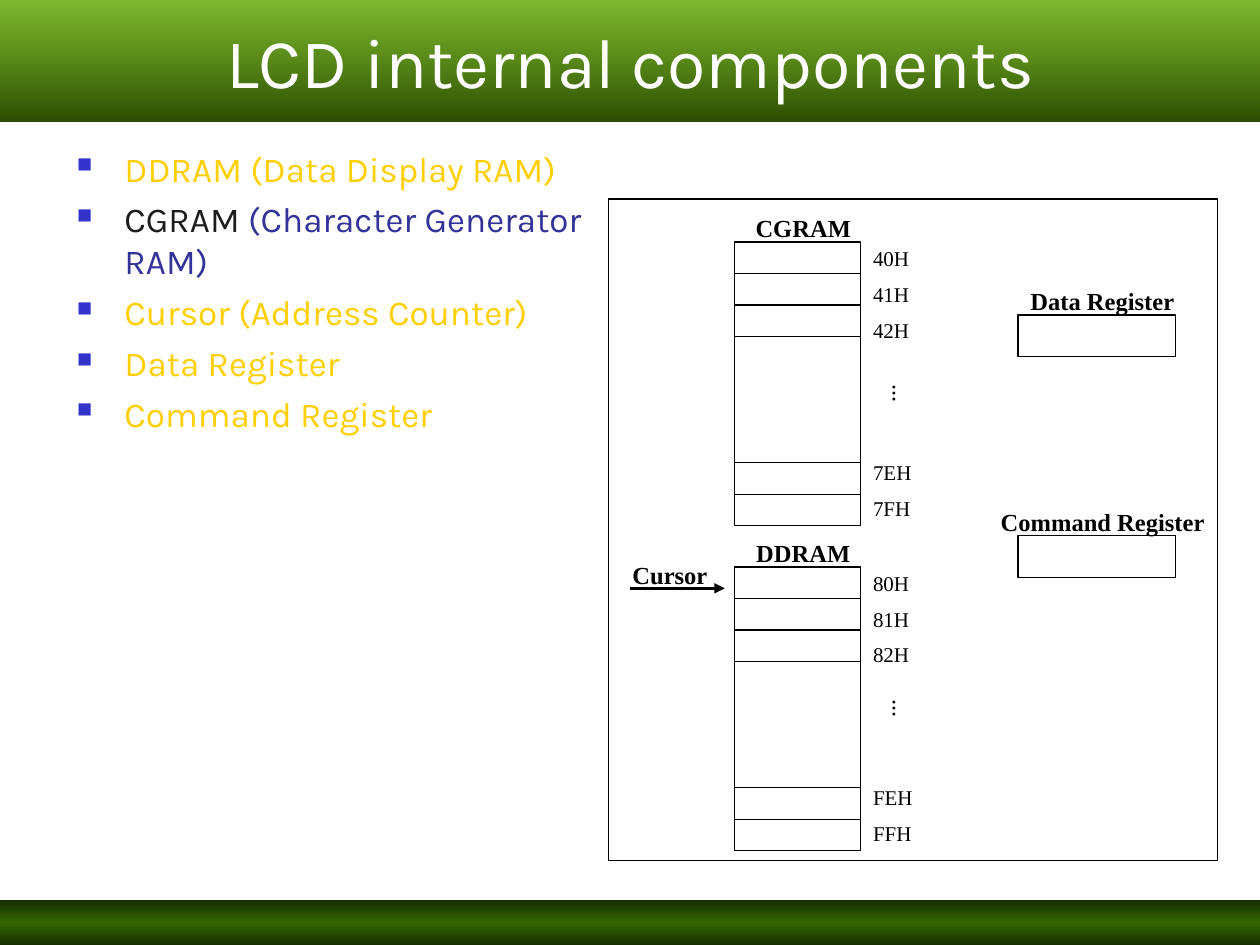
from lxml.etree import SubElement
from pptx import Presentation
from pptx.dml.color import RGBColor
from pptx.enum.shapes import MSO_CONNECTOR, MSO_SHAPE
from pptx.enum.text import MSO_ANCHOR, PP_ALIGN
from pptx.oxml import parse_xml
from pptx.oxml.ns import nsdecls, qn
from pptx.util import Cm, Pt

COLORS = {
    "black": "000000", "white": "FFFFFF", "yellow": "FFCF01", "ink": "1C1C1C",
    "indigo": "333399", "bullet": "3333CC", "lime": "62A903", "moss": "2D4E01",
    "forest": "182F00", "green": "336600",
}
HEADING_FONT, DIAGRAM_FONT = "Karla", "Times New Roman"

TITLE = "LCD internal components"
# Each bullet is a list of (text, colour) runs.
BULLETS = [
    [("DDRAM (Data Display RAM)", "yellow")],
    [("CGRAM ", "ink"), ("(Character Generator RAM)", "indigo")],
    [("Cursor (Address Counter)", "yellow")],
    [("Data Register", "yellow")],
    [("Command Register", "yellow")],
]
# Name, top, first addresses, last addresses, distance from top to the dots
MEMORIES = [
    ("CGRAM", 4.88, ["40H", "41H", "42H"], ["7EH", "7FH"], 2.66),
    ("DDRAM", 11.43, ["80H", "81H", "82H"], ["FEH", "FFH"], 2.46),
]
# Name, top, label left, label width
REGISTERS = [
    ("Data Register", 6.35, 20.32, 3.81),
    ("Command Register", 10.8, 19.69, 5.08),
]

MEMORY_LEFT, MEMORY_WIDTH, MEMORY_HEIGHT = 14.81, 2.54, 5.72
ROW_HEIGHT = MEMORY_HEIGHT / 9
DIVIDED_ROWS = (1, 2, 3, 7, 8)
LABEL_HEIGHT, LABEL_RISE = 0.79, 0.64
ADDRESS_SPACE, ADDRESS_PITCH, HIDDEN_ROWS = 7.5, 20.4, 3

presentation = Presentation()
presentation.slide_width, presentation.slide_height = Cm(25.4), Cm(19.05)
slide = presentation.slides.add_slide(presentation.slide_layouts[6])


def color(name):
    return RGBColor.from_string(COLORS[name])


def add_box(left, top, width, height):
    shape = slide.shapes.add_shape(
        MSO_SHAPE.RECTANGLE, Cm(left), Cm(top), Cm(width), Cm(height))
    shape.shadow.inherit = False
    shape.fill.background()
    shape.line.color.rgb = color("black")
    shape.line.width = Pt(0.75)
    return shape


def add_band(top, height, stops):
    """Full-width bar; stops are (percent, colour, opacity percent), top to bottom."""
    band = add_box(0, top, 25.4, height)
    band.line.fill.background()
    stop_xml = "".join(
        f'<a:gs pos="{percent * 1000}"><a:srgbClr val="{COLORS[name]}">'
        f'<a:alpha val="{opacity * 1000}"/></a:srgbClr></a:gs>'
        for percent, name, opacity in stops)
    gradient = parse_xml(
        f'<a:gradFill {nsdecls("a")} rotWithShape="1"><a:gsLst>{stop_xml}</a:gsLst>'
        '<a:lin ang="5400000" scaled="0"/></a:gradFill>')
    properties = band._element.spPr
    properties.replace(properties.find(qn("a:noFill")), gradient)
    return band


def add_line(start, end, width=0.75, arrow=False):
    line = slide.shapes.add_connector(
        MSO_CONNECTOR.STRAIGHT, *(Cm(value) for value in (*start, *end)))
    line.line.color.rgb = color("black")
    line.line.width = Pt(width)
    if arrow:
        SubElement(line.line._get_or_add_ln(), qn("a:tailEnd"), type="triangle")
    SubElement(line._element.spPr, qn("a:effectLst"))


def add_bullet(paragraph):
    properties = paragraph._p.get_or_add_pPr()
    properties.set("marL", str(Cm(0.96)))
    properties.set("indent", str(Cm(-0.96)))
    bullet_color = SubElement(properties, qn("a:buClr"))
    SubElement(bullet_color, qn("a:srgbClr"), val=COLORS["bullet"])
    SubElement(properties, qn("a:buSzPct"), val="60000")
    SubElement(properties, qn("a:buChar"), char="■")


def write(shape, paragraphs, *, size=14, font=DIAGRAM_FONT, bold=False,
          align=PP_ALIGN.LEFT, anchor=MSO_ANCHOR.TOP, line_spacing=None,
          spaces=None, bulleted=False):
    """Fill a shape with paragraphs, each a list of (text, colour) runs."""
    frame = shape.text_frame
    frame.word_wrap = True
    frame.vertical_anchor = anchor
    for index, runs in enumerate(paragraphs):
        paragraph = frame.add_paragraph() if index else frame.paragraphs[0]
        if bulleted:
            add_bullet(paragraph)
        paragraph.alignment = align
        if line_spacing:
            paragraph.line_spacing = line_spacing
        if index and spaces:
            paragraph.space_before = Pt(spaces[index])
        for text, color_name in runs:
            run = paragraph.add_run()
            run.text = text
            run.font.size = Pt(size)
            run.font.name = font
            run.font.bold = bold
            run.font.color.rgb = color(color_name)


def add_text(left, top, width, height, paragraphs, **text_format):
    box = slide.shapes.add_textbox(Cm(left), Cm(top), Cm(width), Cm(height))
    write(box, paragraphs, **text_format)
    return box


def add_label(left, top, width, text, bold=True, align=PP_ALIGN.CENTER):
    return add_text(left, top, width, LABEL_HEIGHT, [[(text, "black")]],
                    bold=bold, align=align, line_spacing=0.9)


def add_memory(name, top, first, last, dots_offset):
    add_box(MEMORY_LEFT, top, MEMORY_WIDTH, MEMORY_HEIGHT)
    right = MEMORY_LEFT + MEMORY_WIDTH
    for row in DIVIDED_ROWS:
        y = top + row * ROW_HEIGHT
        add_line((MEMORY_LEFT, y), (right, y))
    add_label(13.97, top - LABEL_RISE, 4.45, name)
    spaces = [ADDRESS_SPACE] * len(first + last)
    spaces[len(first)] += HIDDEN_ROWS * ADDRESS_PITCH
    add_text(right, top, 1.9, 5.77,
             [[(address, "black")] for address in first + last],
             size=12, line_spacing=0.9, spaces=spaces)
    dots = add_label(17.42, top + dots_offset, 1.47, "...", bold=False)
    dots.rotation = 90


add_band(18.15, 0.9, [(0, "forest", 100), (50, "green", 100), (100, "forest", 100)])
title_band = add_band(0, 2.46, [(0, "lime", 82), (100, "moss", 100)])
write(title_band, [[(TITLE, "white")]], size=40, font=HEADING_FONT,
      align=PP_ALIGN.CENTER, anchor=MSO_ANCHOR.MIDDLE)
add_text(1.3, 2.84, 11.33, 15.24, BULLETS, size=20, font=HEADING_FONT,
         spaces=[5] * len(BULLETS), bulleted=True)

add_box(12.27, 4.01, 12.27, 13.34)
add_line((12.7, 11.86), (14.61, 11.86), width=1.5, arrow=True)
add_label(12.5, 11.23, 3.61, "Cursor", align=PP_ALIGN.LEFT)
for name, top, label_left, label_width in REGISTERS:
    add_box(20.52, top, 3.18, 0.84)
    add_label(label_left, top - LABEL_RISE, label_width, name)
for memory in MEMORIES:
    add_memory(*memory)

presentation.save("out.pptx")
